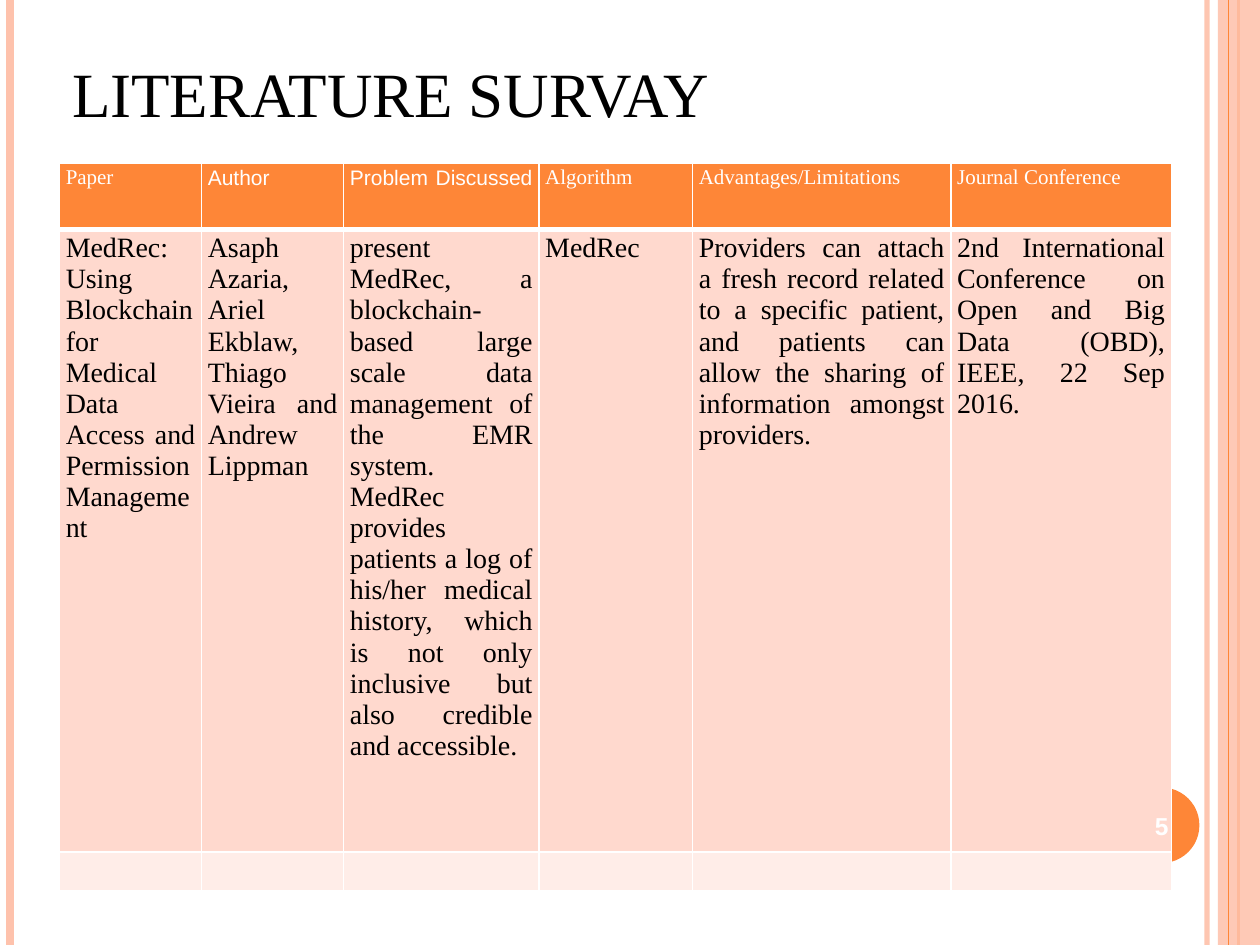
from lxml import etree
from pptx import Presentation
from pptx.dml import color
from pptx.enum import shapes, text
from pptx.oxml import ns
from pptx.util import Pt

COLORS = {"orange": "FE8637", "peach": "FEC2AC", "body": "FFD9CE",
          "band": "FFEDE8", "white": "FFFFFF", "black": "000000"}
SERIF, SANS = "Times New Roman", "Arial"

TITLE = "LITERATURE SURVAY"
PAGE_NUMBER = "5"
COLUMNS = [
    ("Paper", SERIF, 81.2,
     "MedRec: Using Blockchain for Medical Data Access and Permission Management "),
    ("Author", SANS, 81.2,
     "Asaph Azaria, Ariel Ekblaw, Thiago Vieira and Andrew Lippman"),
    ("Problem Discussed ", SANS, 111.6,
     "present MedRec, a blockchain-based large scale data management of the EMR "
     "system. MedRec provides patients a log of his/her medical history, which is "
     "not only inclusive but also credible and accessible."),
    ("Algorithm", SERIF, 87.8, "MedRec"),
    ("Advantages/Limitations ", SERIF, 147.6,
     "Providers can attach a fresh record related to a specific patient, and "
     "patients can allow the sharing of information amongst providers. "),
    ("Journal Conference ", SERIF, 126,
     "2nd International Conference on Open and Big Data (OBD), IEEE, 22 Sep 2016."),
]
ROWS = [(38, "orange", "white", 12), (356, "body", "black", 16), (22, "band", "black", 12)]
BACK_LINES = [(689.8, "peach", 3, 93), (5.8, "peach", 4.5, 100), (707.8, "orange", 1.5, 100)]
FRONT_LINES = [(702, "orange", 0.75, 100)]
WIDTH, HEIGHT = 720, 540


def rgb(name):
    return color.RGBColor.from_string(COLORS[name])


def set_alpha(shape, percent):
    tint = next(shape._element.spPr.iter(ns.qn("a:srgbClr")))
    etree.SubElement(tint, ns.qn("a:alpha")).set("val", str(percent * 1000))


def add_stripes(page, lines):
    for x, name, weight, alpha in lines:
        line = page.shapes.add_connector(
            shapes.MSO_CONNECTOR.STRAIGHT, Pt(x), Pt(0), Pt(x), Pt(HEIGHT))
        line.line.color.rgb = rgb(name)
        line.line.width = Pt(weight)
        if alpha < 100:
            set_alpha(line, alpha)
        etree.SubElement(line._element.spPr, ns.qn("a:effectLst"))


def add_filled(page, kind, place, name):
    shape = page.shapes.add_shape(kind, *map(Pt, place))
    shape.shadow.inherit = False
    shape.fill.solid()
    shape.fill.fore_color.rgb = rgb(name)
    shape.line.fill.background()
    return shape


def style_font(font, face, size, name, bold=False):
    font.name, font.size, font.bold = face, Pt(size), bold
    font.color.rgb = rgb(name)


def set_borders(cell, bottom):
    properties = cell._tc.get_or_add_tcPr()
    for index, (side, weight) in enumerate(
            [("lnL", 1), ("lnR", 1), ("lnT", 1), ("lnB", bottom)]):
        line = etree.Element(ns.qn("a:" + side), w=str(Pt(weight)))
        fill = etree.SubElement(line, ns.qn("a:solidFill"))
        etree.SubElement(fill, ns.qn("a:srgbClr"), val=COLORS["white"])
        properties.insert(index, line)


def fill_cell(cell, words, face, fill, ink, size, bottom):
    cell.margin_left = cell.margin_right = Pt(3.6)
    cell.margin_top = cell.margin_bottom = Pt(2)
    cell.fill.solid()
    cell.fill.fore_color.rgb = rgb(fill)
    set_borders(cell, bottom)
    para = cell.text_frame.paragraphs[0]
    para.alignment = text.PP_ALIGN.JUSTIFY
    style_font(para.font, face, size, ink)
    if words:
        para.add_run().text = words
    else:
        etree.SubElement(para._p, ns.qn("a:endParaRPr"), sz=str(size * 100))


def add_survey(page):
    frame = page.shapes.add_table(
        len(ROWS), len(COLUMNS), Pt(34), Pt(93),
        Pt(sum(column[2] for column in COLUMNS)), Pt(sum(row[0] for row in ROWS)))
    table = frame.table
    for c, (heading, face, width, body) in enumerate(COLUMNS):
        table.columns[c].width = Pt(width)
        contents = [(heading, face), (body, SERIF), ("", SERIF)]
        for r, (height, fill, ink, size) in enumerate(ROWS):
            table.rows[r].height = Pt(height)
            fill_cell(table.cell(r, c), *contents[r], fill, ink, size, 1 if r else 3)


def add_title(page):
    title = page.shapes.title
    title.left, title.top, title.width, title.height = map(Pt, (34, 30, 588, 48))
    title.text_frame.text = TITLE
    title.text_frame.vertical_anchor = text.MSO_ANCHOR.BOTTOM
    para = title.text_frame.paragraphs[0]
    para.alignment = text.PP_ALIGN.LEFT
    style_font(para.font, SERIF, 36, "black")


def add_page_number(page, place):
    box = page.shapes.add_textbox(*map(Pt, place))
    frame = box.text_frame
    frame.word_wrap = True
    frame.vertical_anchor = text.MSO_ANCHOR.MIDDLE
    frame.text = PAGE_NUMBER
    para = frame.paragraphs[0]
    para.alignment = text.PP_ALIGN.CENTER
    style_font(para.font, SANS, 14, "white", True)


def main():
    deck = Presentation()
    deck.slide_width, deck.slide_height = Pt(WIDTH), Pt(HEIGHT)
    page = deck.slides.add_slide(deck.slide_layouts[5])
    badge = (642.2, 450, 43.2, 43.2)
    add_title(page)
    add_stripes(page, BACK_LINES)
    band = add_filled(page, shapes.MSO_SHAPE.RECTANGLE, (696, 0, 24, HEIGHT), "peach")
    set_alpha(band, 87)
    add_stripes(page, FRONT_LINES)
    add_filled(page, shapes.MSO_SHAPE.OVAL, badge, "orange")
    add_survey(page)
    add_page_number(page, badge)
    deck.save("out.pptx")


if __name__ == "__main__":
    main()
